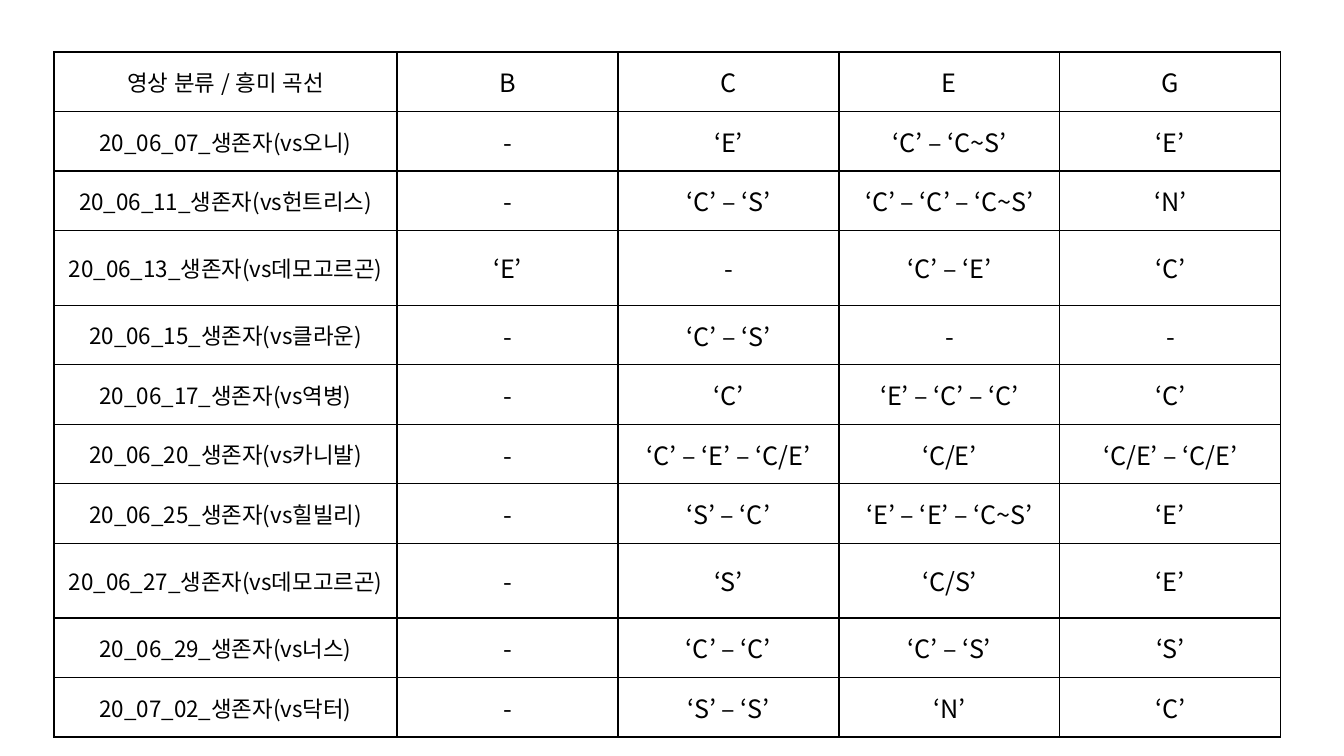
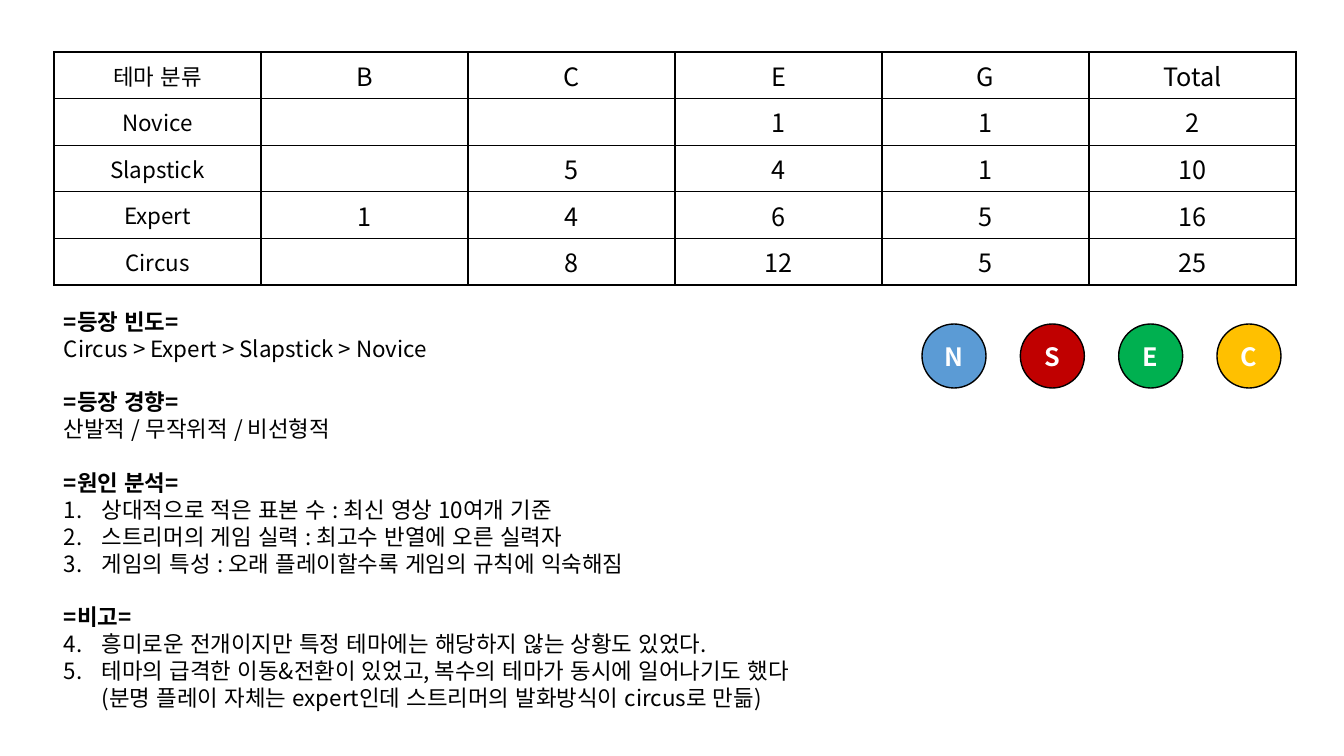
import dataclasses
import pptx
import pptx.util
import pptx.dml.color
import pptx.enum.lang
import pptx.enum.shapes
import pptx.enum.text
import pptx.oxml

PX = 914400 / 100.8
NS = 'xmlns:a="http://schemas.openxmlformats.org/drawingml/2006/main"'
CENTER = pptx.enum.text.PP_ALIGN.CENTER
MIDDLE = pptx.enum.text.MSO_ANCHOR.MIDDLE


@dataclasses.dataclass(frozen=True)
class Theme:
    """Fonts, type sizes and colours shared by the slides."""
    font: str = "Noto Sans CJK KR"
    label: int = 16
    value: int = 18
    line: float = 1
    section_gap: float = 19.2
    ink: str = "000000"
    paper: str = "FFFFFF"
    novice: str = "5B9BD5"
    slapstick: str = "C00000"
    expert: str = "00B050"
    circus: str = "FFC000"


T = Theme()


def px(n):
    """Turn pixels into EMU."""
    return pptx.util.Emu(round(n * PX))


def rgb(color):
    """Turn a hex string into a colour."""
    return pptx.dml.color.RGBColor.from_string(color)


def add_run(p, text, size, color=T.ink, bold=False):
    """Add one formatted run to a paragraph."""
    r = p.add_run()
    r.text = text
    r.font.name = T.font
    r.font.size = pptx.util.Pt(size)
    r.font.bold = bold
    r.font.language_id = pptx.enum.lang.MSO_LANGUAGE_ID.KOREAN
    r.font.color.rgb = rgb(color)
    r.font._element.append(pptx.oxml.parse_xml(f'<a:ea {NS} typeface="{T.font}"/>'))


def style_cell(cell):
    """Give a cell thin borders, a plain fill and middle anchoring."""
    tc_pr = cell._tc.get_or_add_tcPr()
    for side in "LRTB":
        tc_pr.append(pptx.oxml.parse_xml(
            f'<a:ln{side} {NS} w="{pptx.util.Pt(T.line)}"><a:solidFill>'
            f'<a:srgbClr val="{T.ink}"/></a:solidFill></a:ln{side}>'))
    cell.fill.solid()
    cell.fill.fore_color.rgb = rgb(T.paper)
    cell.vertical_anchor = MIDDLE


def add_grid(s, box, rows, first_width=None):
    """Draw a table in the box; columns after the first share its width."""
    x, y, w, h = box
    count = len(rows[0])
    first_width = first_width or w / count
    table = s.shapes.add_table(len(rows), count, px(x), px(y), px(w), px(h)).table
    table.first_row = table.horz_banding = False
    for i, column in enumerate(table.columns):
        column.width = px(first_width if i == 0 else (w - first_width) / (count - 1))
    for i, row in enumerate(rows):
        table.rows[i].height = px(h / len(rows))
        for j, text in enumerate(row):
            cell = table.cell(i, j)
            style_cell(cell)
            p = cell.text_frame.paragraphs[0]
            p.alignment = CENTER
            if text:
                add_run(p, text, T.value if j else T.label)


def number_paragraph(p, start, indent=38):
    """Number a paragraph with a hanging indent."""
    p_pr = p._p.get_or_add_pPr()
    p_pr.set("marL", str(px(indent)))
    p_pr.set("indent", str(-px(indent)))
    start_at = f' startAt="{start}"' if start > 1 else ""
    p_pr.append(pptx.oxml.parse_xml(
        f'<a:buFont {NS} typeface="{T.font}"/>'))
    p_pr.append(pptx.oxml.parse_xml(
        f'<a:buAutoNum {NS} type="arabicPeriod"{start_at}/>'))


def add_notes_text(s, box, sections):
    """Write headed sections; start is the first number, or 0 for plain lines."""
    tf = s.shapes.add_textbox(*map(px, box)).text_frame
    tf.word_wrap = True
    p = tf.paragraphs[0]
    for i, (heading, start, items) in enumerate(sections):
        if i:
            p = tf.add_paragraph()
            p.space_before = pptx.util.Pt(T.section_gap)
        add_run(p, heading, T.label, bold=True)
        for item in items:
            p = tf.add_paragraph()
            if start:
                number_paragraph(p, start)
            for k, line in enumerate(item.split("\n")):
                if k:
                    p.add_line_break()
                add_run(p, line, T.label)


def add_badges(s, box, badges):
    """Spread lettered circles evenly across the box."""
    x, y, w, size = box
    step = (w - size) / (len(badges) - 1)
    for i, (letter, color) in enumerate(badges):
        sp = s.shapes.add_shape(pptx.enum.shapes.MSO_SHAPE.OVAL,
                                px(x + i * step), px(y), px(size), px(size))
        sp.shadow.inherit = False
        sp.fill.solid()
        sp.fill.fore_color.rgb = rgb(color)
        sp.line.color.rgb = rgb(T.ink)
        sp.line.width = pptx.util.Pt(T.line)
        tf = sp.text_frame
        tf.vertical_anchor = MIDDLE
        p = tf.paragraphs[0]
        p.alignment = CENTER
        add_run(p, letter, T.value, T.paper, bold=True)


def add_videos_slide(prs):
    """Slide with the themes seen in each video."""
    s = prs.slides.add_slide(prs.slide_layouts[6])
    videos = [
        ("06_07", "오니", "-", "‘E’", "‘C’ – ‘C~S’", "‘E’"),
        ("06_11", "헌트리스", "-", "‘C’ – ‘S’", "‘C’ – ‘C’ – ‘C~S’", "‘N’"),
        ("06_13", "데모고르곤", "‘E’", "-", "‘C’ – ‘E’", "‘C’"),
        ("06_15", "클라운", "-", "‘C’ – ‘S’", "-", "-"),
        ("06_17", "역병", "-", "‘C’", "‘E’ – ‘C’ – ‘C’", "‘C’"),
        ("06_20", "카니발", "-", "‘C’ – ‘E’ – ‘C/E’", "‘C/E’", "‘C/E’ – ‘C/E’"),
        ("06_25", "힐빌리", "-", "‘S’ – ‘C’", "‘E’ – ‘E’ – ‘C~S’", "‘E’"),
        ("06_27", "데모고르곤", "-", "‘S’", "‘C/S’", "‘E’"),
        ("06_29", "너스", "-", "‘C’ – ‘C’", "‘C’ – ‘S’", "‘S’"),
        ("07_02", "닥터", "-", "‘S’ – ‘S’", "‘N’", "‘C’"),
    ]
    rows = [("영상 분류 / 흥미 곡선", "B", "C", "E", "G")]
    rows += [(f"20_{day}_생존자(vs{rival})", *themes) for day, rival, *themes in videos]
    add_grid(s, (54, 52, 1227, 655), rows, first_width=343)


def add_themes_slide(prs):
    """Slide with theme totals, badges and findings."""
    s = prs.slides.add_slide(prs.slide_layouts[6])
    add_grid(s, (54, 52, 1242, 205), [
        ("테마 분류", "B", "C", "E", "G", "Total"),
        ("Novice", "", "", "1", "1", "2"),
        ("Slapstick", "", "5", "4", "1", "10"),
        ("Expert", "1", "4", "6", "5", "16"),
        ("Circus", "", "8", "12", "5", "25"),
    ])
    add_notes_text(s, (54, 303, 1128, 417), [
        ("=등장 빈도=", 0, ["Circus > Expert > Slapstick > Novice"]),
        ("=등장 경향=", 0, ["산발적 / 무작위적 / 비선형적"]),
        ("=원인 분석=", 1, [
            "상대적으로 적은 표본 수 : 최신 영상 10여개 기준",
            "스트리머의 게임 실력 : 최고수 반열에 오른 실력자",
            "게임의 특성 : 오래 플레이할수록 게임의 규칙에 익숙해짐"]),
        ("=비고=", 4, [
            "흥미로운 전개이지만 특정 테마에는 해당하지 않는 상황도 있었다.",
            "테마의 급격한 이동&전환이 있었고, 복수의 테마가 동시에 일어나기도 했다\n"
            "(분명 플레이 자체는 expert인데 스트리머의 발화방식이 circus로 만듦)"]),
    ])
    add_badges(s, (922, 324, 359, 64), [
        ("N", T.novice), ("S", T.slapstick), ("E", T.expert), ("C", T.circus)])


prs = pptx.Presentation()
prs.slide_width, prs.slide_height = px(1344), px(756)
add_videos_slide(prs)
add_themes_slide(prs)
prs.save("out.pptx")
